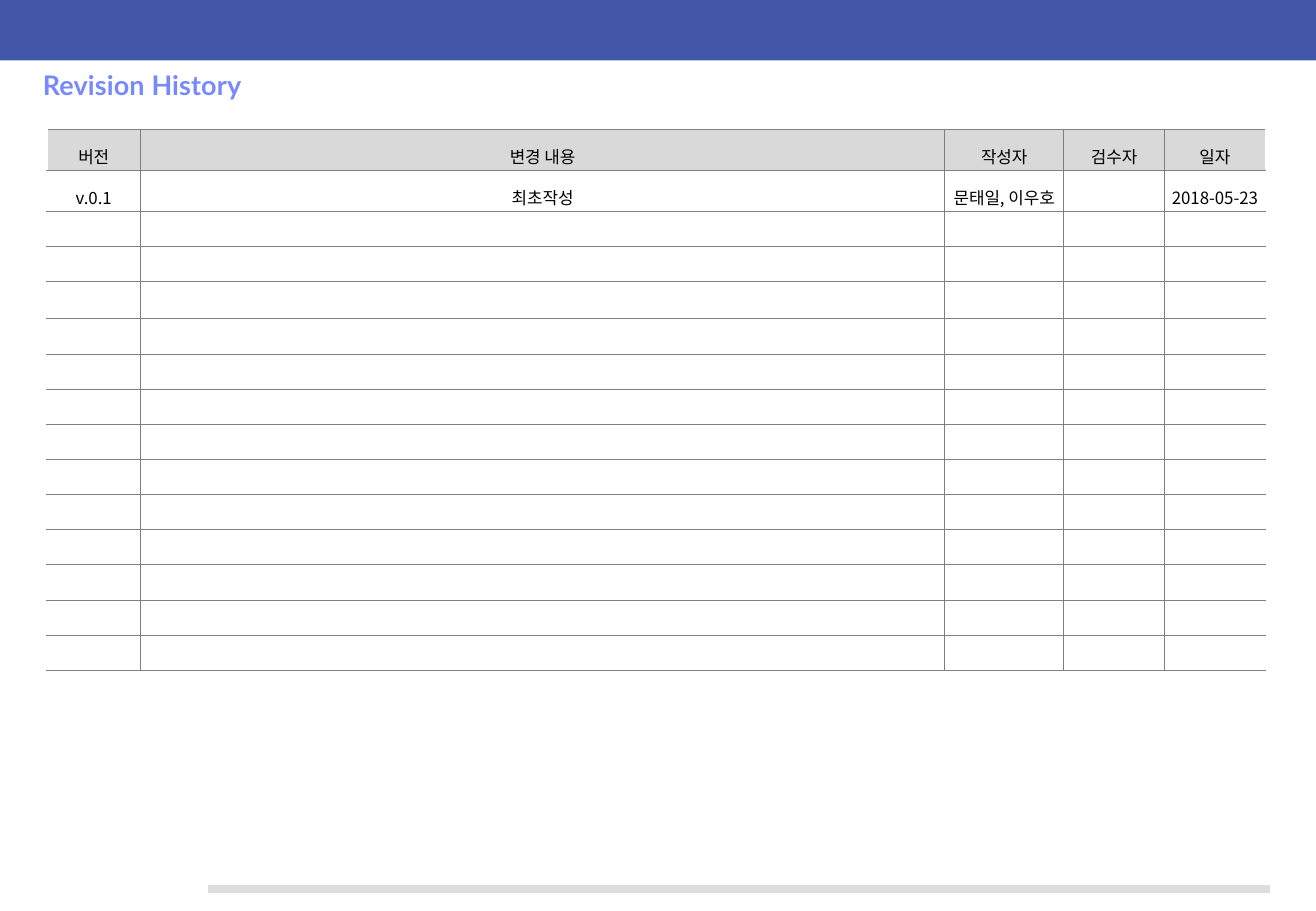
from lxml import etree
from pptx import Presentation
from pptx import util as u
from pptx.dml.color import RGBColor
from pptx.enum import shapes, text
from pptx.oxml import ns

COLORS = {"bar": "4156A6", "rule": "DDDDDD", "title": "7889FB",
          "header": "D9D9D9", "border": "7F7F7F", "text": "000000"}
BODY_FONT = "Noto Sans CJK KR"
WIDTH, HEIGHT = 780.48, 540
COLUMNS = [55.4, 477, 70.6, 59.8, 59.8]
ROW_COUNT, ROW_HEIGHT, TALL_ROW = 15, 20.85, 22
ENTRIES = [["버전", "변경 내용", "작성자", "검수자", "일자"],
           ["v.0.1", "최초작성", "문태일, 이우호", "", "2018-05-23"]]


def rgb(name):
    return RGBColor.from_string(COLORS[name])


def add_border(cell, side):
    """Draw one cell side (L, R, T or B) as a thin grey line."""
    ln = etree.SubElement(cell._tc.get_or_add_tcPr(), ns.qn(f"a:ln{side}"), w=str(u.Pt(0.5)))
    fill = etree.SubElement(ln, ns.qn("a:solidFill"))
    etree.SubElement(fill, ns.qn("a:srgbClr"), val=COLORS["border"])


prs = Presentation()
prs.slide_width, prs.slide_height = u.Pt(WIDTH), u.Pt(HEIGHT)
s = prs.slides.add_slide(prs.slide_layouts[5])

# Top bar and bottom rule
bar = s.shapes.add_shape(shapes.MSO_SHAPE.RECTANGLE, 0, 0, u.Pt(WIDTH), u.Pt(35.8))
bar.shadow.inherit = False
bar.fill.solid()
bar.fill.fore_color.rgb = rgb("bar")
bar.line.fill.background()

rule = s.shapes.add_connector(shapes.MSO_CONNECTOR.STRAIGHT,
                              u.Pt(123.5), u.Pt(526.8), u.Pt(753.2), u.Pt(526.8))
rule.line.color.rgb = rgb("rule")
rule.line.width = u.Pt(4.5)
etree.SubElement(rule._element.spPr, ns.qn("a:effectLst"))

# Title
title = s.shapes.title
title.left, title.top, title.width, title.height = map(u.Pt, (25.4, 37.2, 284, 28))
tf = title.text_frame
tf.margin_left = tf.margin_right = tf.margin_top = tf.margin_bottom = 0
tf.vertical_anchor = text.MSO_ANCHOR.MIDDLE
tf.word_wrap = True
p = tf.paragraphs[0]
p.alignment = text.PP_ALIGN.LEFT
p.line_spacing = 0.9
r = p.add_run()
r.text = "Revision History"
r.font.name, r.font.size, r.font.bold = "Lato", u.Pt(16), True
r.font.color.rgb = rgb("title")
r.font._element.set("spc", "10")

# Revision table
frame = s.shapes.add_table(ROW_COUNT, len(COLUMNS), u.Pt(27.9), u.Pt(76.5),
                           u.Pt(sum(COLUMNS)), u.Pt(ROW_COUNT * ROW_HEIGHT))
table = frame.table
table.first_row = table.horz_banding = False
for column, width in zip(table.columns, COLUMNS):
    column.width = u.Pt(width)

for i, row in enumerate(table.rows):
    row.height = u.Pt(TALL_ROW if i == 4 else ROW_HEIGHT)
    for j, cell in enumerate(row.cells):
        cell.margin_left = cell.margin_right = u.Pt(2)
        cell.margin_top = cell.margin_bottom = u.Pt(1.4)
        cell.vertical_anchor = text.MSO_ANCHOR.MIDDLE
        if j > 0:
            add_border(cell, "L")
        if j < len(COLUMNS) - 1:
            add_border(cell, "R")
        add_border(cell, "T")
        add_border(cell, "B")
        if i == 0:
            cell.fill.solid()
            cell.fill.fore_color.rgb = rgb("header")
        else:
            cell.fill.background()

        p = cell.text_frame.paragraphs[0]
        p.alignment = text.PP_ALIGN.CENTER
        words = ENTRIES[i][j] if i < len(ENTRIES) else ""
        if words:
            p.line_spacing = 1.5
            r = p.add_run()
            r.text = words
            r.font.name, r.font.size = BODY_FONT, u.Pt(10)
            r.font.color.rgb = rgb("text")
            etree.SubElement(r.font._element, ns.qn("a:ea"), typeface=BODY_FONT)
        else:
            etree.SubElement(p._p, ns.qn("a:endParaRPr"), sz="1000")

prs.save("out.pptx")
